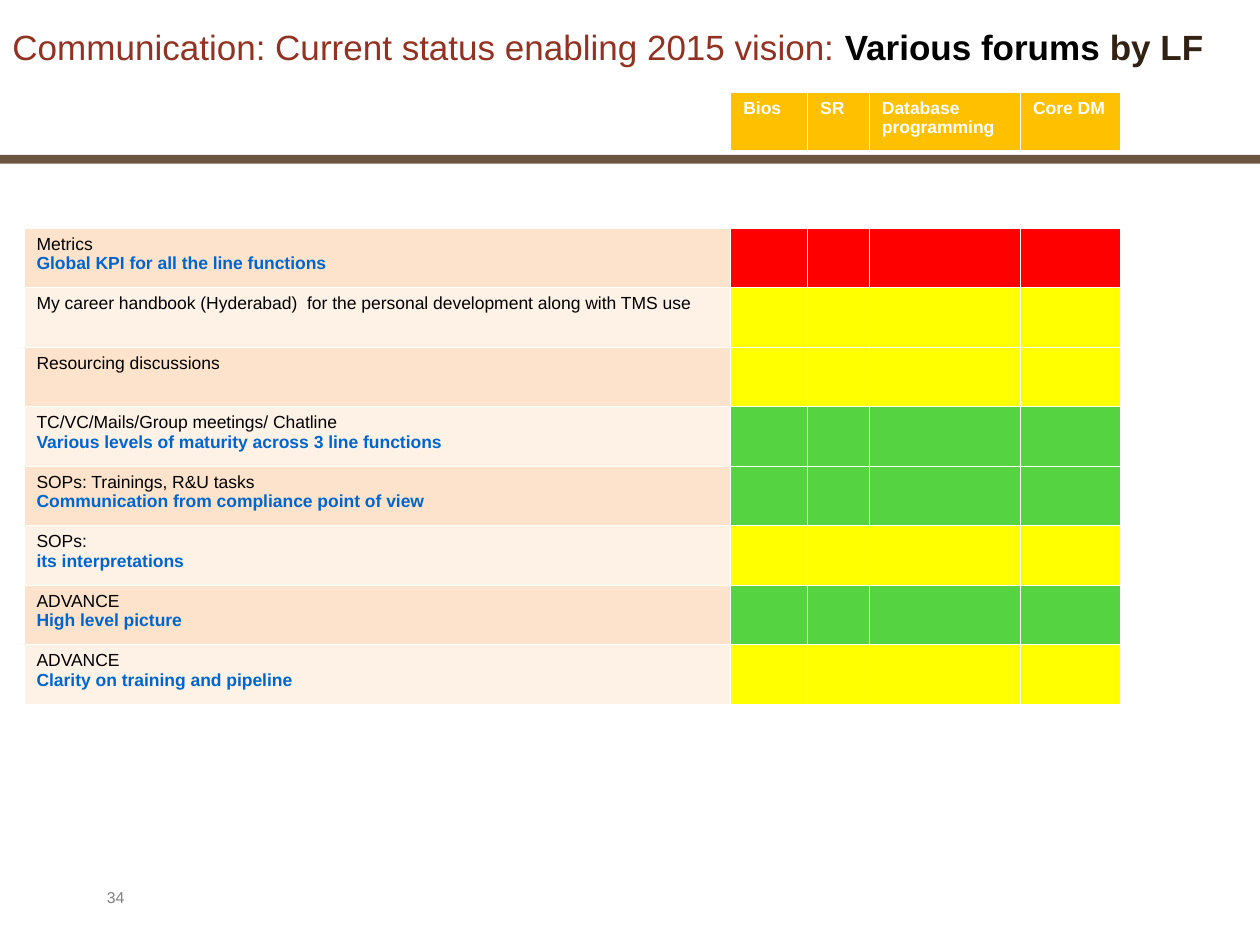
from lxml import etree
from pptx import Presentation
from pptx.dml.color import RGBColor
from pptx.enum.shapes import MSO_SHAPE
from pptx.oxml.ns import qn
from pptx.util import Inches, Pt

RECTANGLE = MSO_SHAPE.RECTANGLE

BLACK = RGBColor(0x00, 0x00, 0x00)
WHITE = RGBColor(0xFF, 0xFF, 0xFF)
GRAY = RGBColor(0x7F, 0x7F, 0x7F)
BROWN = RGBColor(0x6A, 0x55, 0x40)
DARK_BROWN = RGBColor(0x31, 0x22, 0x14)
RUST = RGBColor(0x92, 0x32, 0x22)
BLUE = RGBColor(0x00, 0x66, 0xCC)
ORANGE = RGBColor(0xFF, 0xC0, 0x00)
PEACH = RGBColor(0xFE, 0xE3, 0xCC)
LIGHT_PEACH = RGBColor(0xFE, 0xF2, 0xE7)
RED = RGBColor(0xFF, 0x00, 0x00)
YELLOW = RGBColor(0xFF, 0xFF, 0x00)
GREEN = RGBColor(0x56, 0xD3, 0x41)

COLUMN_WIDTHS = [5.61, 0.61, 0.49, 1.2, 0.79]
HEADERS = ["", "Bios", "SR", "Database\nprogramming", "Core DM"]
FORUMS = [
    ("Metrics", "Global KPI for all the line functions", RED),
    ("My career handbook (Hyderabad)  for the personal development along with TMS use",
     "", YELLOW),
    ("Resourcing discussions", "", YELLOW),
    ("TC/VC/Mails/Group meetings/ Chatline",
     "Various levels of maturity across 3 line functions", GREEN),
    ("SOPs: Trainings, R&U tasks", "Communication from compliance point of view", GREEN),
    ("SOPs:", "its interpretations", YELLOW),
    ("ADVANCE", "High level picture", GREEN),
    ("ADVANCE", "Clarity on training and pipeline", YELLOW),
]


def add_run(paragraph, text, size, color, bold=False):
    run = paragraph.add_run()
    run.text = text
    font_format = {"name": "Arial", "size": Pt(size), "bold": bold}
    for attribute, value in font_format.items():
        setattr(run.font, attribute, value)
    run.font.color.rgb = color


def add_grid(top, row_height, row_count):
    """Add an unstyled table with thin white cell borders."""
    table = slide.shapes.add_table(
        row_count, len(COLUMN_WIDTHS), Inches(0.19), Inches(top),
        Inches(sum(COLUMN_WIDTHS)), Inches(row_height * row_count)).table
    table.first_row = False
    table.horz_banding = False
    for column, width in zip(table.columns, COLUMN_WIDTHS):
        column.width = Inches(width)
    for row in table.rows:
        row.height = Inches(row_height)
    for cell in table.iter_cells():
        cell.margin_left = cell.margin_right = Inches(0.1)
        cell.margin_top = cell.margin_bottom = Inches(0.05)
        cell.text_frame.paragraphs[0].font.size = Pt(10)
        properties = cell._tc.get_or_add_tcPr()
        for side in ("a:lnL", "a:lnR", "a:lnT", "a:lnB"):
            line = etree.SubElement(properties, qn(side), w=str(Pt(0.45)))
            fill = etree.SubElement(line, qn("a:solidFill"))
            etree.SubElement(fill, qn("a:srgbClr"), val=str(WHITE))
        cell.fill.background()
    return table


presentation = Presentation()
presentation.slide_width = Inches(10)
presentation.slide_height = Inches(7.5)
slide = presentation.slides.add_slide(presentation.slide_layouts[6])

# Divider bar
bar = slide.shapes.add_shape(RECTANGLE, 0, Inches(1.23), Inches(10), Inches(0.07))
bar.shadow.inherit = False
bar.fill.solid()
bar.fill.fore_color.rgb = BROWN
bar.line.fill.background()

# Title
title = slide.shapes.add_textbox(0, Inches(0.23), Inches(9.88), Inches(0.68))
title.text_frame.word_wrap = True
title.text_frame.margin_top = 0
paragraph = title.text_frame.paragraphs[0]
paragraph.line_spacing = 0.95
add_run(paragraph, "Communication: Current status enabling 2015 vision: ", 20, RUST)
add_run(paragraph, "Various forums", 20, BLACK, bold=True)
add_run(paragraph, " by LF", 20, DARK_BROWN, bold=True)

# Status table: the first row stays empty
status_table = add_grid(1.34, 4.25 / 9, len(FORUMS) + 1)
for row, (forum, remark, status) in enumerate(FORUMS, start=1):
    label = status_table.cell(row, 0)
    label.fill.solid()
    label.fill.fore_color.rgb = PEACH if row % 2 else LIGHT_PEACH
    add_run(label.text_frame.paragraphs[0], forum, 10, BLACK)
    if remark:
        add_run(label.text_frame.add_paragraph(), remark, 10, BLUE, bold=True)
    for column in range(1, len(COLUMN_WIDTHS)):
        cell = status_table.cell(row, column)
        cell.fill.solid()
        cell.fill.fore_color.rgb = status

# Header table: the first cell stays empty
header_table = add_grid(0.73, 0.46, 1)
for column, header in enumerate(HEADERS[1:], start=1):
    cell = header_table.cell(0, column)
    cell.fill.solid()
    cell.fill.fore_color.rgb = ORANGE
    for index, text in enumerate(header.split("\n")):
        frame = cell.text_frame
        paragraph = frame.add_paragraph() if index else frame.paragraphs[0]
        add_run(paragraph, text, 10, WHITE, bold=True)

# Slide number
number = slide.shapes.add_textbox(Inches(0.75), Inches(7), Inches(7.08), Inches(0.27))
number.text_frame.word_wrap = True
add_run(number.text_frame.paragraphs[0], "34", 9, GRAY)

presentation.save("out.pptx")
